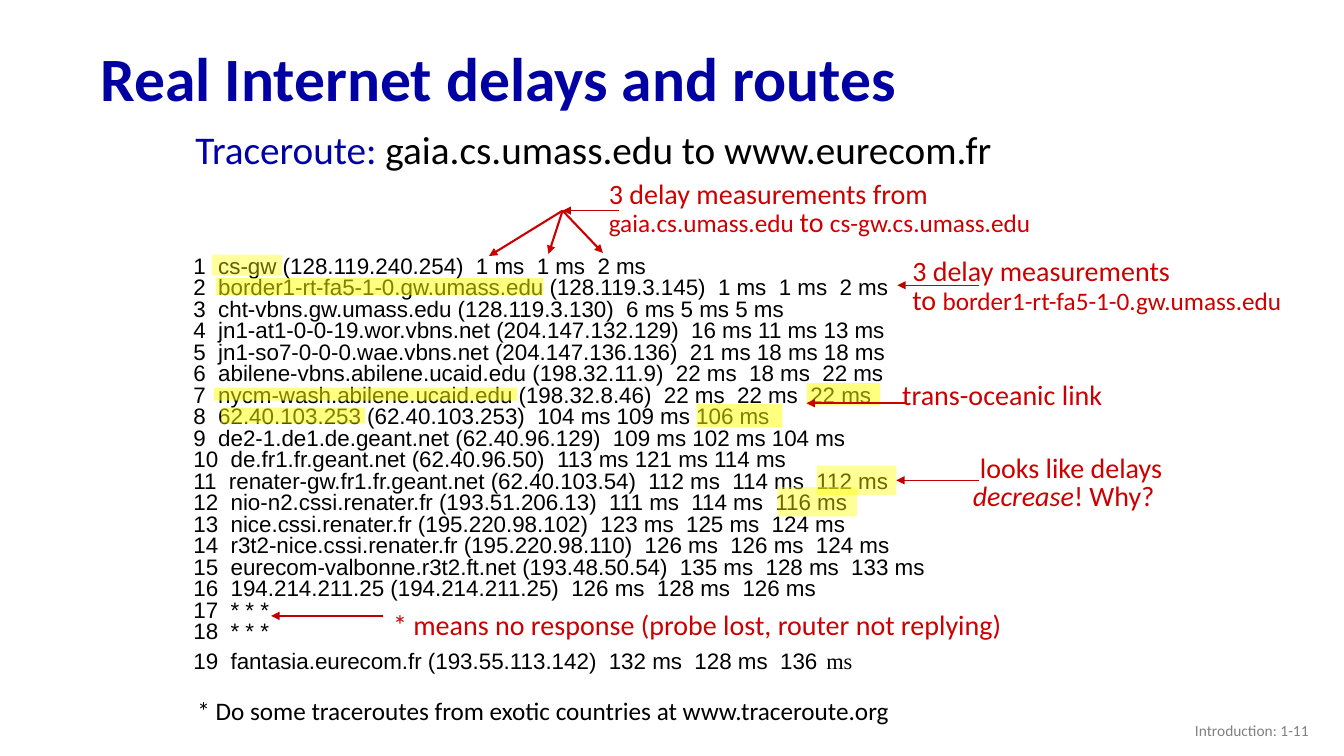
from lxml import etree
from pptx import Presentation
from pptx.dml.color import RGBColor
from pptx.enum.shapes import MSO_CONNECTOR, MSO_SHAPE
from pptx.enum.text import MSO_ANCHOR, PP_ALIGN
from pptx.oxml.ns import qn
from pptx.util import Inches, Pt

STRAIGHT = MSO_CONNECTOR.STRAIGHT
RECTANGLE = MSO_SHAPE.RECTANGLE
MIDDLE = MSO_ANCHOR.MIDDLE
LEFT, RIGHT = PP_ALIGN.LEFT, PP_ALIGN.RIGHT
RIGHT_SIDE = 3

NAVY = RGBColor(0x00, 0x00, 0xA3)
BLUE = RGBColor(0x00, 0x00, 0xA8)
RED = RGBColor(0xCC, 0x00, 0x00)
DARK_RED = RGBColor(0xC0, 0x00, 0x00)
YELLOW = RGBColor(0xFF, 0xFF, 0x00)
GRAY = RGBColor(0x80, 0x80, 0x80)
BLACK = RGBColor(0x00, 0x00, 0x00)

FIRST_ROW_CENTRE = 2.63
ROW_PITCH = 0.2135
HANGING_INDENT = 0.5

HOPS = [
    "1  cs-gw (128.119.240.254)  1 ms  1 ms  2 ms",
    "2  border1-rt-fa5-1-0.gw.umass.edu (128.119.3.145)  1 ms  1 ms  2 ms",
    "3  cht-vbns.gw.umass.edu (128.119.3.130)  6 ms 5 ms 5 ms",
    "4  jn1-at1-0-0-19.wor.vbns.net (204.147.132.129)  16 ms 11 ms 13 ms",
    "5  jn1-so7-0-0-0.wae.vbns.net (204.147.136.136)  21 ms 18 ms 18 ms",
    "6  abilene-vbns.abilene.ucaid.edu (198.32.11.9)  22 ms  18 ms  22 ms",
    "7  nycm-wash.abilene.ucaid.edu (198.32.8.46)  22 ms  22 ms  22 ms",
    "8  62.40.103.253 (62.40.103.253)  104 ms 109 ms 106 ms",
    "9  de2-1.de1.de.geant.net (62.40.96.129)  109 ms 102 ms 104 ms",
    "10  de.fr1.fr.geant.net (62.40.96.50)  113 ms 121 ms 114 ms",
    "11  renater-gw.fr1.fr.geant.net (62.40.103.54)  112 ms  114 ms  112 ms",
    "12  nio-n2.cssi.renater.fr (193.51.206.13)  111 ms  114 ms  116 ms",
    "13  nice.cssi.renater.fr (195.220.98.102)  123 ms  125 ms  124 ms",
    "14  r3t2-nice.cssi.renater.fr (195.220.98.110)  126 ms  126 ms  124 ms",
    "15  eurecom-valbonne.r3t2.ft.net (193.48.50.54)  135 ms  128 ms  133 ms",
    "16  194.214.211.25 (194.214.211.25)  126 ms  128 ms  126 ms",
    "17  * * *",
    "18  * * *",
]
LAST_HOP = [
    ("19  fantasia.eurecom.fr (193.55.113.142)  132 ms  128 ms  136", {}),
    (" ", {"size": 24, "name": "Times New Roman"}),
    ("ms", {"name": "Times New Roman"}),
]

# hop number, left, width, height, opacity in percent
HIGHLIGHTS = [
    (1, 2.1, 0.7, 0.21, 38),
    (2, 2.14, 3.25, 0.17, 50),
    (7, 2.12, 3.01, 0.13, 50),
    (8, 2.19, 1.43, 0.16, 50),
    (7, 8, 0.73, 0.22, 50),
    (8, 6.91, 0.85, 0.23, 50),
    (12, 7.71, 0.79, 0.29, 41),
]
DECREASE_HIGHLIGHT = (11, 8.1, 0.79, 0.29, 41)

# start, then two control points and an end for each curve
OCEAN_START = (8.74, 3.93)
OCEAN_CURVES = [
    ((8.77, 3.95), (8.79, 3.96), (8.79, 4)),
    ((8.8, 4.03), (8.82, 4.11), (8.77, 4.15)),
    ((8.72, 4.18), (8.66, 4.2), (8.49, 4.2)),
    ((8.31, 4.2), (7.84, 4.16), (7.71, 4.16)),
]
CURVE_STEPS = 10


def row_centre(hop):
    return FIRST_ROW_CENTRE + (hop - 1) * ROW_PITCH


def add_run(paragraph, text, formats):
    run = paragraph.add_run()
    run.text = text
    for key, value in formats.items():
        if key == "color":
            run.font.color.rgb = value
        else:
            setattr(run.font, key, Pt(value) if key == "size" else value)


def fill_paragraphs(frame, paragraphs, base, spacing=None, align=LEFT, margin=0, indent=0):
    """Write paragraphs, each a list of (text, format changes) runs."""
    for index, runs in enumerate(paragraphs):
        paragraph = frame.paragraphs[0] if index == 0 else frame.add_paragraph()
        properties = paragraph._p.get_or_add_pPr()
        properties.set("marL", str(Inches(margin)))
        properties.set("indent", str(Inches(indent)))
        paragraph.alignment = align
        if spacing:
            paragraph.line_spacing = spacing
        for text, changes in runs:
            if text == "\n":
                paragraph.add_line_break()
            else:
                add_run(paragraph, text, {**base, **changes})


def add_text(slide, box, paragraphs, size, color, name="Calibri", wrap=True, anchor=None, **layout):
    frame = slide.shapes.add_textbox(*map(Inches, box)).text_frame
    frame.word_wrap = wrap
    if anchor is not None:
        frame.vertical_anchor = anchor
    fill_paragraphs(frame, paragraphs, {"size": size, "color": color, "name": name}, **layout)


def style_arrow(shape, color, width):
    shape.line.color.rgb = color
    shape.line.width = Pt(width)
    etree.SubElement(shape.line._get_or_add_ln(), qn("a:tailEnd"), type="triangle")


def add_arrow(slide, start, end, color=DARK_RED, width=1):
    arrow = slide.shapes.add_connector(STRAIGHT, *map(Inches, start + end))
    style_arrow(arrow, color, width)
    etree.SubElement(arrow._element.spPr, qn("a:effectLst"))
    return arrow


def add_highlight(slide, hop, left, width, height, opacity):
    top = row_centre(hop) - height / 2
    shape = slide.shapes.add_shape(RECTANGLE, *map(Inches, (left, top, width, height)))
    shape.shadow.inherit = False
    shape.line.fill.background()
    shape.fill.solid()
    shape.fill.fore_color.rgb = YELLOW
    color = shape._element.spPr.find(qn("a:solidFill"))[0]
    etree.SubElement(color, qn("a:alpha"), val=str(opacity * 1000))
    return shape


def curve_points(start, curves):
    """Sample a chain of cubic Bézier curves."""
    points = []
    for first, second, end in curves:
        for step in range(1, CURVE_STEPS + 1):
            t = step / CURVE_STEPS
            weights = ((1 - t) ** 3, 3 * t * (1 - t) ** 2, 3 * t * t * (1 - t), t ** 3)
            points.append(tuple(
                sum(weight * value for weight, value in zip(weights, values))
                for values in zip(start, first, second, end)))
        start = end
    return points


def add_ocean_arrow(slide):
    builder = slide.shapes.build_freeform(*OCEAN_START, scale=Inches(1))
    builder.add_line_segments(curve_points(OCEAN_START, OCEAN_CURVES), close=False)
    shape = builder.convert_to_shape()
    shape.shadow.inherit = False
    shape.fill.background()
    style_arrow(shape, RED, 1.5)


def add_title(slide, text):
    title = slide.shapes.title
    place = {"left": 0.9, "top": 0.32, "width": 11.5, "height": 0.98}
    for key, value in place.items():
        setattr(title, key, Inches(value))
    title.text_frame.vertical_anchor = MIDDLE
    fill_paragraphs(title.text_frame, [[(text, {})]],
                    {"size": 44, "bold": True, "color": NAVY, "name": "Calibri"}, spacing=0.9)


def add_notes_in_red(slide):
    small = {"size": 18}
    notes = [
        ((3.8, 5.98, 6.88, 0.44), None,
         [[("* means no response (probe lost, router not replying)", {})]]),
        ((5.94, 1.75, 6.49, 0.68), 0.85,
         [[("3 delay measurements from", {})],
          [("gaia.cs.umass.edu ", small), ("to ", {}), ("cs-gw.cs.umass.edu", small)]]),
        ((8.95, 2.52, 4.47, 0.68), 0.85,
         [[("3 delay measurements", {})],
          [("to ", {}), ("border1-rt-fa5-1-0.gw.umass.edu", small)]]),
        ((8.85, 3.7, 3, 0.44), None, [[("trans-oceanic link", {})]]),
    ]
    for box, spacing, paragraphs in notes:
        add_text(slide, box, paragraphs, 20, RED, spacing=spacing)
    add_text(slide, (9.55, 4.47, 3, 0.68),
             [[("looks like delays", {}), ("\n", {}), ("decrease", {"italic": True}),
               ("! Why?", {})]], 20, RED, spacing=0.85, indent=0.07)


def main():
    presentation = Presentation()
    presentation.slide_width, presentation.slide_height = Inches(13.33), Inches(7.5)
    slide = presentation.slides.add_slide(presentation.slide_layouts[5])

    add_title(slide, "Real Internet delays and routes")
    add_text(slide, (1.82, 2.5, 9, 4.31), [[(hop, {})] for hop in HOPS] + [LAST_HOP], 16, BLACK,
             name="Arial", spacing=0.8, margin=HANGING_INDENT, indent=-HANGING_INDENT)
    add_text(slide, (1.84, 1.19, 8.96, 0.57),
             [[("Traceroute: ", {"color": BLUE}), ("gaia.cs.umass.edu to www.eurecom.fr", {})]],
             28, BLACK)
    add_text(slide, (1.86, 6.85, 7.14, 0.4),
             [[("* Do some traceroutes from exotic countries at www.traceroute.org", {})]],
             18, BLACK, wrap=False)
    add_notes_in_red(slide)

    for highlight in HIGHLIGHTS:
        add_highlight(slide, *highlight)
    decrease = add_highlight(slide, *DECREASE_HIGHLIGHT)

    hub = (5.58, 2.09)
    for tip in ((4.85, 2.54), (5.44, 2.52), (5.98, 2.51)):
        add_arrow(slide, hub, tip, RED, 1.5)
    add_arrow(slide, (6.14, 2.09), hub)
    add_arrow(slide, (3.8, 6.11), (2.69, 6.11))
    add_arrow(slide, (9.71, 2.83), (8.9, 2.83))
    decrease_row = row_centre(DECREASE_HIGHLIGHT[0])
    arrow = add_arrow(slide, (9.71, decrease_row), (8.89, decrease_row))
    arrow.end_connect(decrease, RIGHT_SIDE)
    add_ocean_arrow(slide)

    add_text(slide, (10.08, 7.05, 3, 0.4), [[("Introduction: 1-11", {})]], 11, GRAY,
             anchor=MIDDLE, align=RIGHT)
    presentation.save("out.pptx")


if __name__ == "__main__":
    main()
